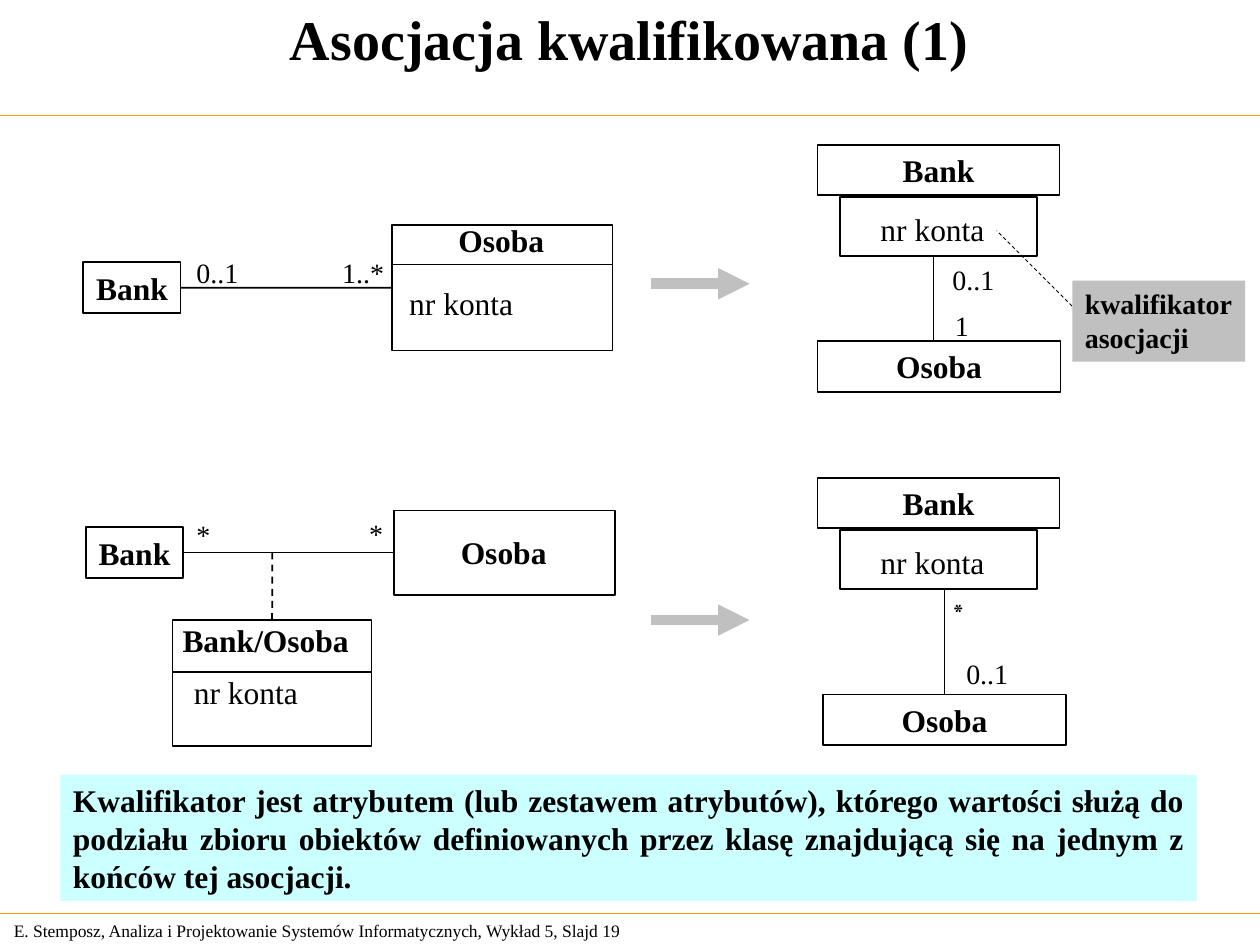
from lxml import etree
from pptx import Presentation
from pptx.dml.color import RGBColor
from pptx.enum.dml import MSO_LINE
from pptx.enum.shapes import MSO_CONNECTOR, MSO_SHAPE
from pptx.enum.text import MSO_ANCHOR, MSO_AUTO_SIZE, PP_ALIGN
from pptx.oxml.ns import qn
from pptx.util import Cm, Pt

RECT, STRAIGHT, DASH = MSO_SHAPE.RECTANGLE, MSO_CONNECTOR.STRAIGHT, MSO_LINE.DASH
TOP, MIDDLE = MSO_ANCHOR.TOP, MSO_ANCHOR.MIDDLE
LEFT, CENTER, JUSTIFY = PP_ALIGN.LEFT, PP_ALIGN.CENTER, PP_ALIGN.JUSTIFY
NO_FIT, GROW = MSO_AUTO_SIZE.NONE, MSO_AUTO_SIZE.SHAPE_TO_FIT_TEXT

# Theme: colours, fonts and type sizes
THEME = {
    "ink": RGBColor(0x00, 0x00, 0x00),
    "rule": RGBColor(0xFF, 0x99, 0x00),
    "definition": RGBColor(0xCC, 0xFF, 0xFF),
    "gray": RGBColor(0xC0, 0xC0, 0xC0),
    "font": "Times New Roman",
    "star font": "Cambria",
    "title": Pt(32),
    "class": Pt(18),
    "role": Pt(16),
    "footer": Pt(10),
}

deck = Presentation()
deck.slide_width, deck.slide_height = Cm(25.4), Cm(19.05)
page = deck.slides.add_slide(deck.slide_layouts[5])


def add_box(place, text="", size="class", bold=False, align=LEFT, anchor=TOP,
            wrap=False, fill=None, outline=False, inset=True, font="font", box=None):
    """Place a rectangle, a plain label or a given placeholder, and set its text."""
    left, top, width, height = map(Cm, place)
    if box is not None:
        box.left, box.top, box.width, box.height = left, top, width, height
    elif fill or outline:
        box = page.shapes.add_shape(RECT, left, top, width, height)
        box.shadow.inherit = False
        if fill:
            box.fill.solid()
            box.fill.fore_color.rgb = THEME[fill]
        else:
            box.fill.background()
        if outline:
            box.line.color.rgb, box.line.width = THEME["ink"], Pt(1)
        else:
            box.line.fill.background()
    else:
        box = page.shapes.add_textbox(left, top, width, height)
    if not text:
        return box
    frame = box.text_frame
    frame.text = text
    margins = {} if inset else dict.fromkeys(
        ("margin_left", "margin_top", "margin_right", "margin_bottom"), 0)
    layout = {"word_wrap": wrap, "vertical_anchor": anchor,
              "auto_size": NO_FIT if box.is_placeholder else GROW, **margins}
    for name, value in layout.items():
        setattr(frame, name, value)
    for para in frame.paragraphs:
        para.alignment = align
        for span in para.runs:
            for name, value in {"name": THEME[font], "size": THEME[size], "bold": bold}.items():
                setattr(span.font, name, value)
            span.font.color.rgb = THEME["ink"]
    return box


def add_line(start, end, color="ink", width=1, dash=None, arrow=False,
             begin_at=None, end_at=None):
    """Draw a line; begin_at and end_at are (box, side) pairs to join."""
    line = page.shapes.add_connector(STRAIGHT, *map(Cm, (*start, *end)))
    line.line.color.rgb, line.line.width = THEME[color], Pt(width)
    if dash:
        line.line.dash_style = dash
    if arrow:
        etree.SubElement(line.line._get_or_add_ln(), qn("a:tailEnd"), type="triangle")
    etree.SubElement(line._element.spPr, qn("a:effectLst"))
    if begin_at:
        line.begin_connect(*begin_at)
    if end_at:
        line.end_connect(*end_at)


# Title, rules and footer
add_box((0, -0.03, 25.38, 2.34), "Asocjacja kwalifikowana (1)", "title", bold=True,
        align=CENTER, wrap=True, box=page.shapes.title)
for y in (2.33, 18.41):
    add_line((0, y), (25.4, y), "rule", 0.75)
add_box((0.03, 18.42, 13.31, 0.69),
        "E. Stemposz, Analiza i Projektowanie Systemów Informatycznych, Wykład 5, Slajd 19",
        "footer", anchor=MIDDLE, wrap=True)

# Definition
add_box((1.22, 15.62, 22.91, 2.54),
        "Kwalifikator jest atrybutem (lub zestawem atrybutów), którego wartości służą do "
        "podziału zbioru obiektów definiowanych przez klasę znajdującą się na jednym z "
        "końców tej asocjacji.",
        bold=True, align=JUSTIFY, wrap=True, fill="definition")

# Plain associations: Bank and Osoba joined side to side
for bank_left, person_left, middle, person_height in ((1.68, 7.9, 5.8, 2.54),
                                                      (1.73, 7.95, 11.14, 1.7)):
    bank = add_box((bank_left, middle - 0.51, 1.96, 1.02), "Bank", bold=True,
                   align=CENTER, anchor=MIDDLE, outline=True)
    person = add_box((person_left, middle - person_height / 2, 4.45, person_height),
                     outline=True)
    add_line((bank_left + 1.96, middle), (person_left, middle),
             begin_at=(bank, 3), end_at=(person, 1))

# Association class
link_class = add_box((3.48, 12.5, 4.01, 2.54), outline=True)
add_line((5.49, 12.5), (5.49, 11.14), dash=DASH, begin_at=(link_class, 0))

# Compartment lines
add_line((7.9, 5.33), (12.35, 5.33))
add_line((3.48, 13.54), (7.49, 13.54))

# Qualified associations: Bank with its qualifier above Osoba
for bank_top, person_left, person_top, line_x in ((2.92, 16.48, 6.88, 18.82),
                                                  (9.63, 16.59, 14, 19.04)):
    add_box((16.94, bank_top + 1.05, 3.96, 1.19), outline=True)
    add_box((16.48, bank_top, 4.88, 1.02), "Bank", bold=True, align=CENTER,
            wrap=True, outline=True)
    add_box((person_left, person_top, 4.9, 1.02), "Osoba", bold=True, align=CENTER,
            wrap=True, outline=True)
    add_box((17.75, bank_top + 1.32, 2.2, 0.76), "nr konta", inset=False)
    add_line((line_x, bank_top + 2.24), (line_x, person_top))

# Class names and attributes
for left, top, width, text, bold in (
    (8.99, 4.34, 2.24, "Osoba", True),
    (8, 5.61, 2.8, "nr konta", False),
    (9.04, 10.62, 2.24, "Osoba", True),
    (3.43, 12.4, 3.86, "Bank/Osoba", True),
    (3.66, 13.44, 2.8, "nr konta", False),
):
    add_box((left, top, width, 1.02), text, bold=bold)

# Multiplicities
for left, top, width, text, font in (
    (6.65, 5.03, 1.35, "1..*", "font"),
    (3.71, 5.03, 1.35, "0..1", "font"),
    (18.95, 5.16, 1.35, "0..1", "font"),
    (19, 6.1, 0.79, "1", "font"),
    (7.19, 10.29, 0.79, "*", "font"),
    (3.71, 10.31, 0.79, "*", "font"),
    (18.95, 11.89, 0.79, "*", "star font"),
    (19.23, 13.11, 1.35, "0..1", "font"),
):
    add_box((left, top, width, 0.94), text, "role", font=font)

# Transformation arrows
for y in (5.72, 12.5):
    add_line((13.13, y), (15.11, y), "gray", 6, arrow=True)

# Qualifier note
add_line((21.79, 6.35), (20.09, 4.65), width=0.5, dash=DASH)
add_box((21.62, 5.66, 3.48, 1.63), "kwalifikator\nasocjacji", "role", bold=True, fill="gray")

deck.save("out.pptx")
